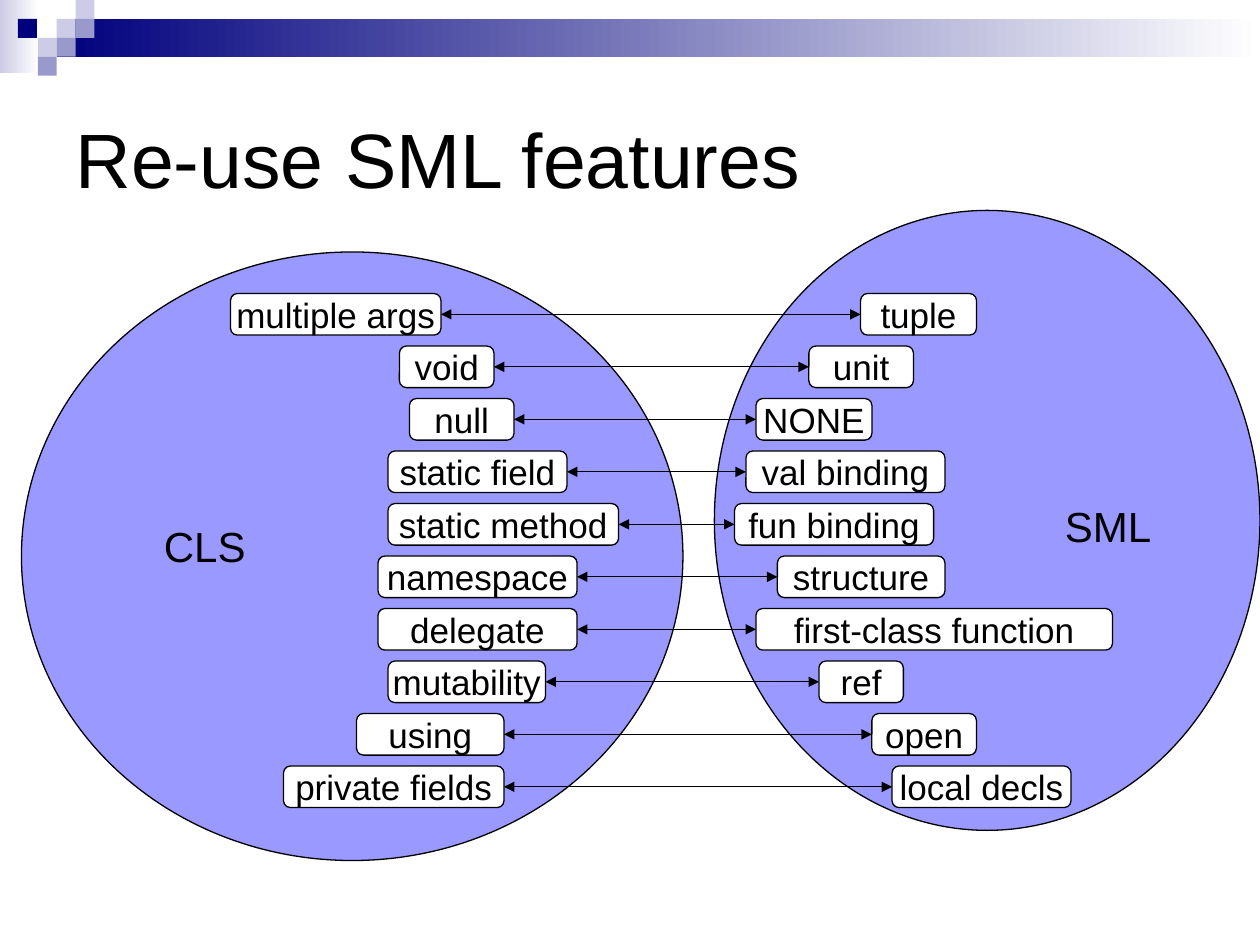
from lxml import etree
from pptx import Presentation
from pptx.dml.color import RGBColor
from pptx.enum.shapes import MSO_CONNECTOR, MSO_SHAPE
from pptx.enum.text import MSO_ANCHOR, MSO_AUTO_SIZE, PP_ALIGN
from pptx.oxml.ns import qn
from pptx.util import Inches, Pt

BLACK, WHITE, LILAC = "000000", "FFFFFF", "9999FF"
NAVY, PALE, MID = "00007D", "CCCCE6", "9999CC"
TILE = 0.15
ROW_TOP, ROW_PITCH, ROW_H = 2.33, 5 / 12, 0.33

# CLS feature, left, width; SML feature, left, width
PAIRS = [
    ("multiple args", 1.83, 1.67, "tuple", 6.83, 0.92),
    ("void", 3.17, 0.75, "unit", 6.42, 0.83),
    ("null", 3.25, 0.83, "NONE", 6, 0.92),
    ("static field", 3.08, 1.42, "val binding", 5.92, 1.58),
    ("static method", 3.08, 1.83, "fun binding", 5.83, 1.58),
    ("namespace", 3, 1.58, "structure", 6.17, 1.33),
    ("delegate", 3, 1.58, "first-class function", 6, 2.83),
    ("mutability", 3.08, 1.25, "ref", 6.5, 0.67),
    ("using", 2.83, 1.17, "open", 6.92, 0.83),
    ("private fields", 2.25, 1.75, "local decls", 7.08, 1.42),
]


def rgb(color):
    return RGBColor.from_string(color)


def add_run(p, text, size):
    r = p.add_run()
    r.text = text
    r.font.name = "Arial"
    r.font.size = Pt(size)
    r.font.color.rgb = rgb(BLACK)


def add_box(slide, kind, x, y, w, h, fill, outlined=True):
    """Add a preset shape; a pair of fill colours gives a left-to-right gradient."""
    sp = slide.shapes.add_shape(kind, Inches(x), Inches(y), Inches(w), Inches(h))
    sp.shadow.inherit = False
    if isinstance(fill, tuple):
        sp.fill.gradient()
        sp.fill.gradient_angle = 0
        for stop, color in zip(sp.fill.gradient_stops, fill):
            stop.color.rgb = rgb(color)
    else:
        sp.fill.solid()
        sp.fill.fore_color.rgb = rgb(fill)
    if outlined:
        sp.line.color.rgb = rgb(BLACK)
        sp.line.width = Pt(0.75)
    else:
        sp.line.fill.background()
    return sp


def add_banner(slide, x, y, w):
    rect = MSO_SHAPE.RECTANGLE
    add_box(slide, rect, x, y, 0.31, 0.58, (PALE, WHITE), False)
    add_box(slide, rect, x + 0.45, y + TILE, w - 0.45, 0.3, (NAVY, WHITE), False)
    tiles = [(3, 1, PALE), (4, 0, PALE), (4, 1, MID), (2, 2, PALE),
             (0.95, 1, NAVY), (3, 2, MID), (2, 3, MID)]
    for col, row, color in tiles:
        add_box(slide, rect, x + col * TILE, y + row * TILE, TILE, TILE, color, False)


def add_title(slide, text, x, y, w, h):
    title = slide.shapes.title
    title.left, title.top, title.width, title.height = map(Inches, (x, y, w, h))
    tf = title.text_frame
    tf.auto_size = MSO_AUTO_SIZE.NONE
    tf.vertical_anchor = MSO_ANCHOR.MIDDLE
    p = tf.paragraphs[0]
    p.alignment = PP_ALIGN.LEFT
    add_run(p, text, 44)


def add_caption(slide, text, x, y):
    tf = slide.shapes.add_textbox(Inches(x), Inches(y), Inches(1.25), Inches(0.5)).text_frame
    tf.word_wrap = True
    p = tf.paragraphs[0]
    p.alignment = PP_ALIGN.CENTER
    p.space_before = Pt(15)
    add_run(p, text, 24)


def add_feature(slide, text, x, y, w):
    sp = add_box(slide, MSO_SHAPE.ROUNDED_RECTANGLE, x, y, w, ROW_H, WHITE)
    sp.adjustments[0] = 0.167
    tf = sp.text_frame
    tf.word_wrap = False
    tf.vertical_anchor = MSO_ANCHOR.MIDDLE
    p = tf.paragraphs[0]
    p.alignment = PP_ALIGN.CENTER
    add_run(p, text, 20)


def add_double_arrow(slide, x1, x2, y):
    line = slide.shapes.add_connector(
        MSO_CONNECTOR.STRAIGHT, Inches(x1), Inches(y), Inches(x2), Inches(y))
    line.line.color.rgb = rgb(BLACK)
    line.line.width = Pt(0.75)
    ln = line.line._get_or_add_ln()
    for end in ("a:headEnd", "a:tailEnd"):
        etree.SubElement(ln, qn(end), type="triangle")
    etree.SubElement(line._element.spPr, qn("a:effectLst"))


def add_pairs(slide, top):
    for i, (cls, cls_x, cls_w, sml, sml_x, sml_w) in enumerate(PAIRS):
        y = top + i * ROW_PITCH
        add_feature(slide, cls, cls_x, y, cls_w)
        add_feature(slide, sml, sml_x, y, sml_w)
        add_double_arrow(slide, cls_x + cls_w, sml_x, y + ROW_H / 2)


def main():
    prs = Presentation()
    prs.slide_width, prs.slide_height = Inches(10), Inches(7.5)
    slide = prs.slides.add_slide(prs.slide_layouts[5])
    add_banner(slide, 0, 0, 10)
    add_title(slide, "Re-use SML features", 0.5, 0.5, 9, 1.5)
    add_box(slide, MSO_SHAPE.OVAL, 0.17, 2, 5.25, 4.83, LILAC)
    add_box(slide, MSO_SHAPE.OVAL, 5.67, 1.67, 4.33, 4.92, LILAC)
    add_caption(slide, "CLS", 1, 4.08)
    add_caption(slide, "SML", 8.17, 3.92)
    add_pairs(slide, ROW_TOP)
    prs.save("out.pptx")


if __name__ == "__main__":
    main()
